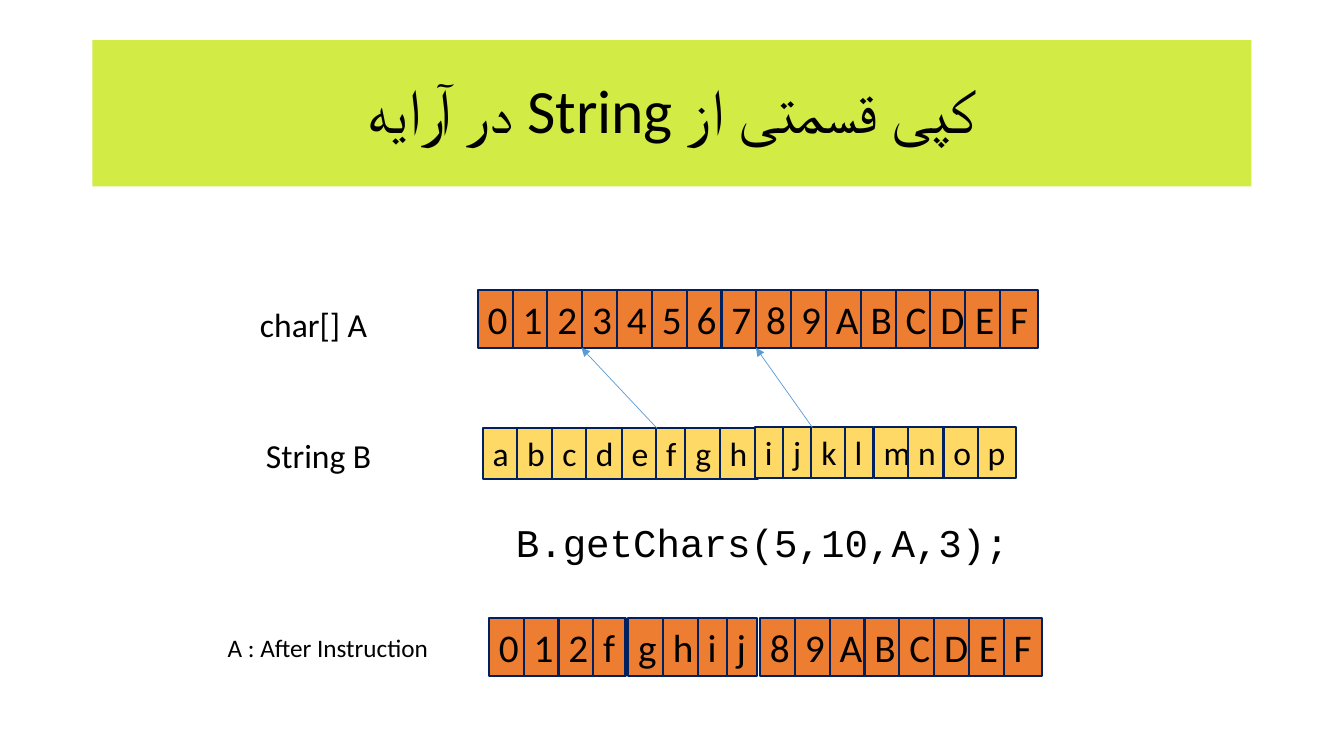
from lxml import etree
from pptx import Presentation
from pptx.dml.color import RGBColor
from pptx.enum import shapes, text
from pptx.oxml import ns
from pptx.util import Pt

BLACK = RGBColor(0x00, 0x00, 0x00)
NAVY = RGBColor(0x00, 0x20, 0x60)
BLUE = RGBColor(0x5B, 0x9B, 0xD5)
LIME = RGBColor(0xD3, 0xEB, 0x45)
ORANGE = RGBColor(0xED, 0x7D, 0x31)
YELLOW = RGBColor(0xFF, 0xD9, 0x66)

PITCH = 24.87
ARRAY_WIDTHS = dict(zip("ABCDEFfghij", (31, 30.2, 29.5, 31.7, 28.1, 27.4, 23, 28.1, 29.5, 20.9, 21.6)))
ARRAY_WIDTHS.update(dict.fromkeys("0123456789", 28.8))
STRING_WIDTHS = dict(zip("abcdefghijklmnop", (
    25.9, 27.4, 24.5, 27.4, 26.6, 22.3, 25.9, 27.4, 20.2, 20.2, 25.2, 20.2, 33.8, 27.4, 27.4, 27.4)))
ARRAY = {"height": 41.2, "size": 28, "fill": ORANGE, "widths": ARRAY_WIDTHS}
STRING = {"height": 36.35, "size": 24, "fill": YELLOW, "widths": STRING_WIDTHS}


class Deck:
    """Draws the slide's elements in one shared style, with lengths in points."""

    def __init__(self, width, height):
        self.presentation = Presentation()
        self.presentation.slide_width = Pt(width)
        self.presentation.slide_height = Pt(height)
        self.slide = self.presentation.slides.add_slide(self.presentation.slide_layouts[6])

    def put_text(self, shape, wording, size, font="Calibri", **frame_format):
        frame = shape.text_frame
        values = {"word_wrap": False, "auto_size": text.MSO_AUTO_SIZE.SHAPE_TO_FIT_TEXT,
                  "vertical_anchor": text.MSO_ANCHOR.TOP, **frame_format}
        for name, value in values.items():
            setattr(frame, name, value)
        paragraph = frame.paragraphs[0]
        paragraph.alignment = text.PP_ALIGN.LEFT
        run = paragraph.add_run()
        run.text = wording
        for name, value in {"name": font, "size": Pt(size)}.items():
            setattr(run.font, name, value)
        run.font.color.rgb = BLACK
        return paragraph

    def rectangle(self, left, top, width, height, fill, line=None):
        shape = self.slide.shapes.add_shape(
            shapes.MSO_SHAPE.RECTANGLE, Pt(left), Pt(top), Pt(width), Pt(height))
        shape.shadow.inherit = False
        shape.fill.solid()
        shape.fill.fore_color.rgb = fill
        if line is None:
            shape.line.fill.background()
        else:
            shape.line.color.rgb = line
            shape.line.width = Pt(1.5)
        return shape

    def title(self, wording, left, top, width, height):
        banner = self.rectangle(left, top, width, height, LIME)
        paragraph = self.put_text(banner, wording, 44, word_wrap=True, auto_size=text.MSO_AUTO_SIZE.NONE,
                                  vertical_anchor=text.MSO_ANCHOR.MIDDLE)
        paragraph.alignment = text.PP_ALIGN.CENTER
        paragraph.line_spacing = 0.9
        paragraph._p.get_or_add_pPr().set("rtl", "1")
        properties = paragraph.runs[0]._r.get_or_add_rPr()
        etree.SubElement(properties, ns.qn("a:cs"), typeface="Calibri")

    def cells(self, letters, lefts, top, height, size, fill, widths):
        for letter, left in zip(letters, lefts):
            cell = self.rectangle(left, top, widths[letter], height, fill, NAVY)
            self.put_text(cell, letter, size)

    def even_cells(self, letters, left, top):
        lefts = [left + index * PITCH for index in range(len(letters))]
        self.cells(letters, lefts, top, **ARRAY)

    def label(self, wording, left, top, width, height, size, font="Calibri"):
        box = self.slide.shapes.add_textbox(Pt(left), Pt(top), Pt(width), Pt(height))
        self.put_text(box, wording, size, font)

    def arrow(self, *ends):
        connector = self.slide.shapes.add_connector(shapes.MSO_CONNECTOR.STRAIGHT, *map(Pt, ends))
        connector.line.color.rgb = BLUE
        connector.line.width = Pt(0.5)
        properties = connector._element.spPr
        etree.SubElement(properties.get_or_add_ln(), ns.qn("a:tailEnd"), type="triangle")
        etree.SubElement(properties, ns.qn("a:effectLst"))


def main():
    deck = Deck(960, 540)
    deck.title("کپی قسمتی از String در آرایه", 66, 28.75, 828, 104.4)
    deck.even_cells("0123456789ABCDEF", 341.3, 207.4)
    deck.cells("abcdefgh", (344.9, 369.4, 394.6, 418.6, 444.2, 468.7, 489.6, 514.1), 306, **STRING)
    deck.cells("ijklmnop", (539.3, 559.4, 579.6, 603.4, 624.2, 648.7, 673.9, 698.4), 305.3, **STRING)
    deck.arrow(469.4, 306, 415.4, 248.5)
    deck.arrow(580.3, 305.3, 540, 248.5)
    deck.label("char[] A", 178.6, 213.9, 97.2, 36.35, 24)
    deck.label("String B", 182.9, 306.8, 90.7, 36.35, 24)
    deck.label("B.getChars(5,10,A,3);", 361.4, 366.5, 386.6, 41.2, 28, "Courier New")
    deck.even_cells("012fghi", 349.2, 441.4)
    deck.even_cells("j", 519.1, 441.4)
    deck.even_cells("89ABCDEF", 542.9, 441.4)
    deck.label("A : After Instruction", 155.5, 447.9, 159.8, 29.1, 18)
    deck.presentation.save("out.pptx")


if __name__ == "__main__":
    main()
